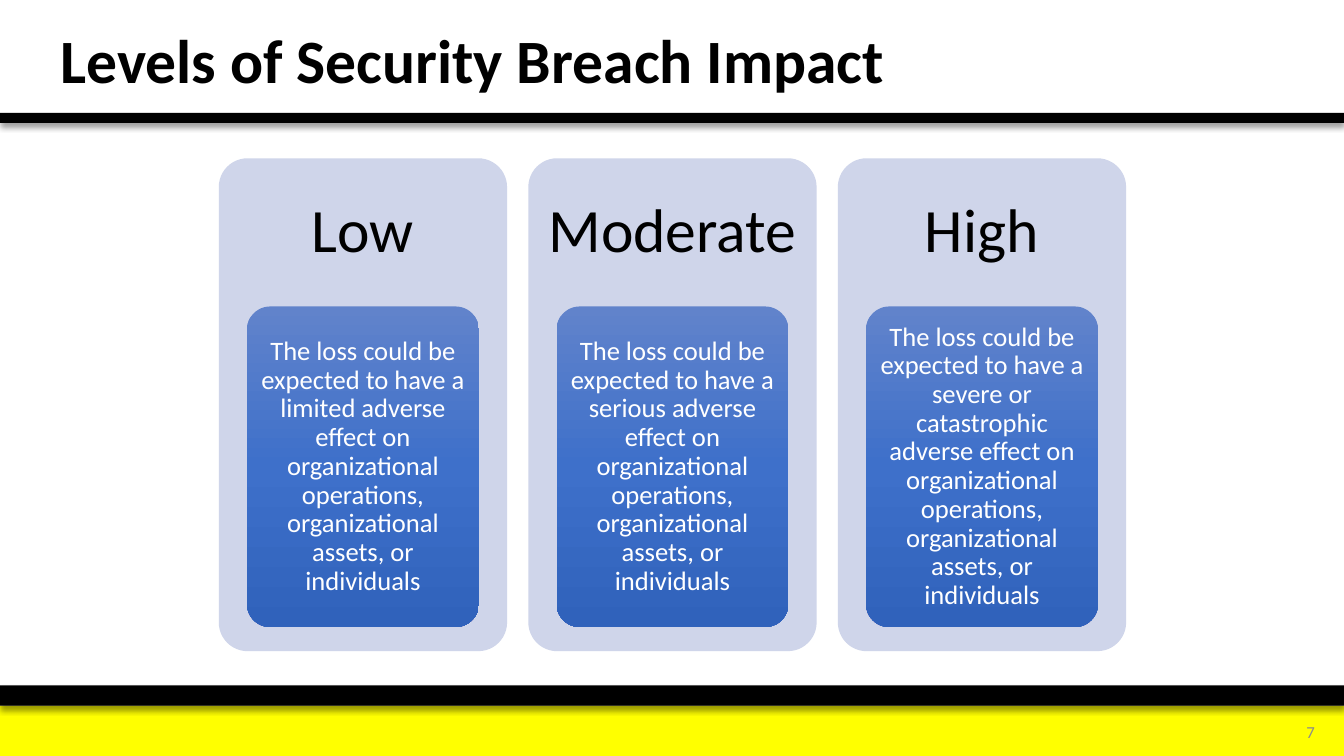
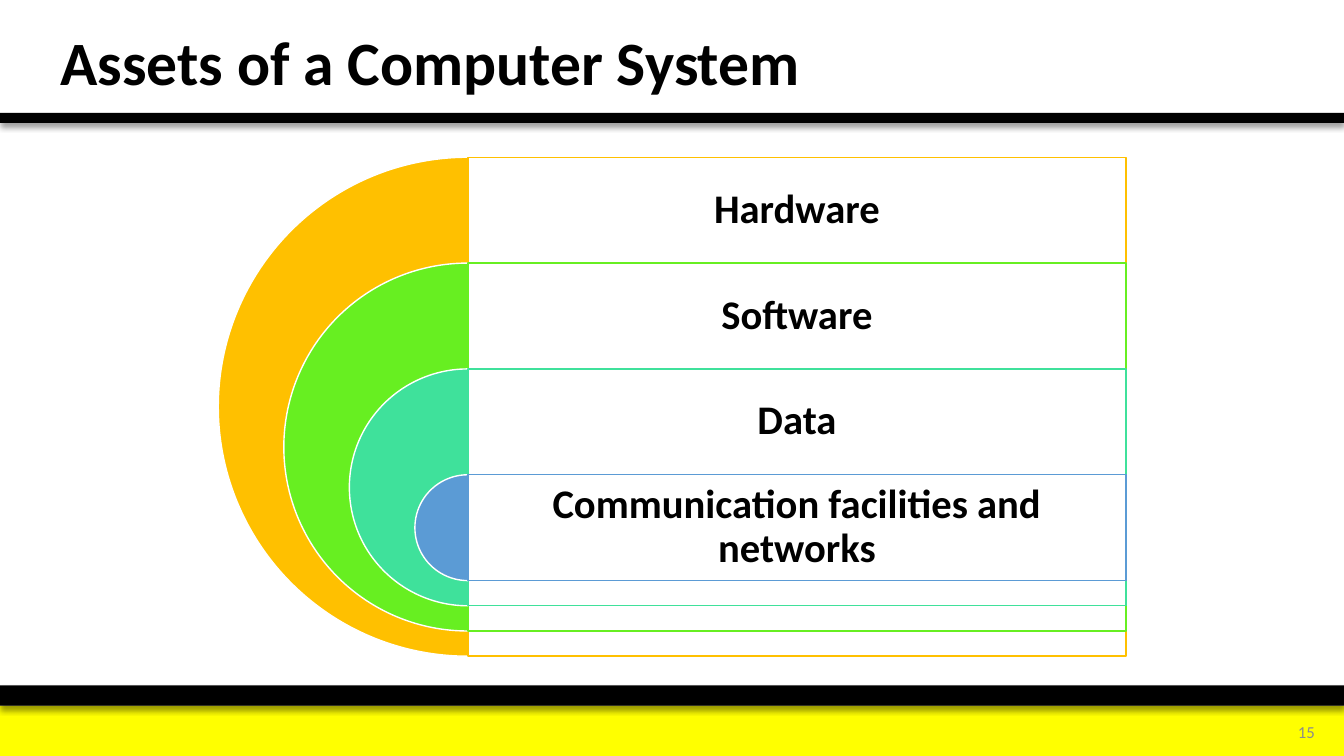
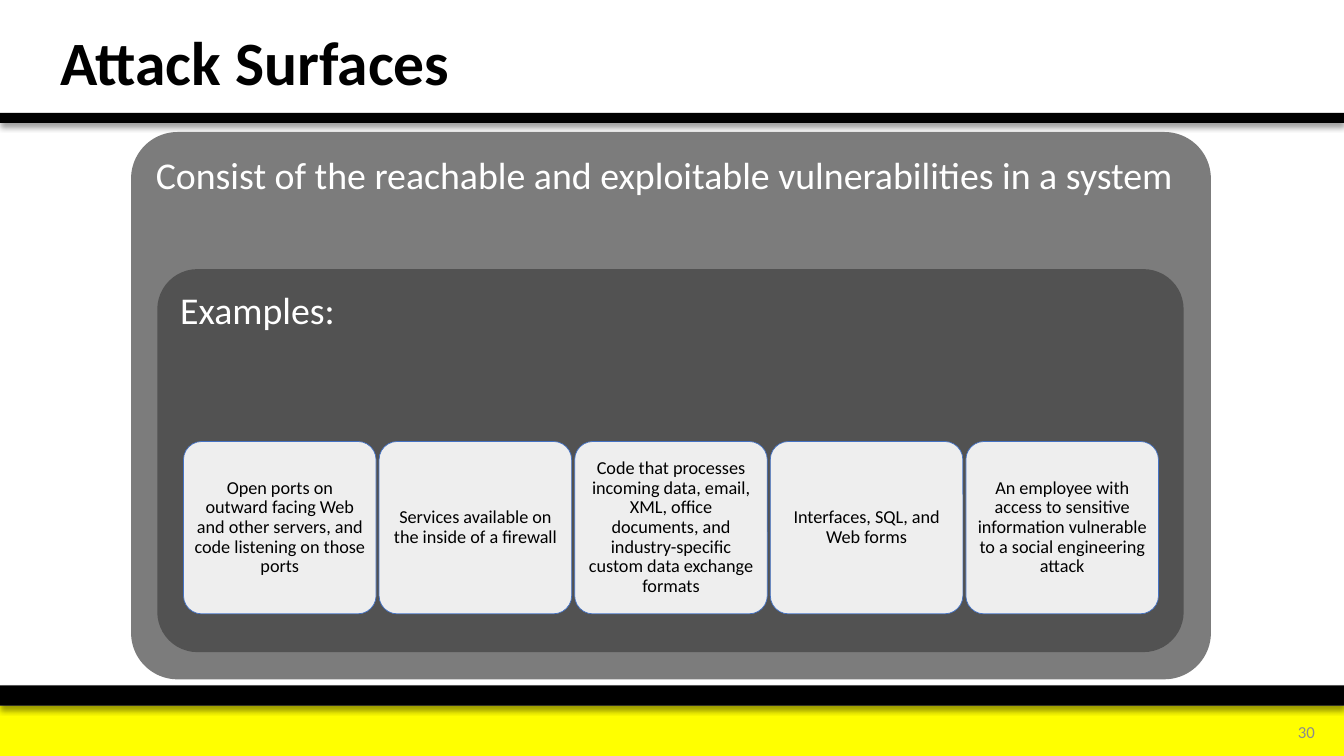
import copy

import pptx
import pptx.util
import pptx.dml.color
import pptx.enum.shapes
import pptx.enum.text
import pptx.oxml
import pptx.oxml.ns

Inches, Pt = pptx.util.Inches, pptx.util.Pt
RGB = pptx.dml.color.RGBColor
SHAPE = pptx.enum.shapes.MSO_SHAPE
ALIGN = pptx.enum.text.PP_ALIGN
ANCHOR = pptx.enum.text.MSO_ANCHOR
qn = pptx.oxml.ns.qn

W, H = 13.33, 7.5
FONT = "Calibri"
BLACK, WHITE = RGB(0, 0, 0), RGB(255, 255, 255)
YELLOW = RGB(0xFF, 0xFF, 0x00)
NUMBER_GREY = RGB(0x8C, 0x8C, 0x8C)
LEVEL_PANEL = RGB(0xCF, 0xD5, 0xEA)
LEVEL_GRADIENT = [RGB(0x61, 0x83, 0xCB), RGB(0x3E, 0x70, 0xCA), RGB(0x30, 0x62, 0xBB)]
OUTER_GREY, INNER_GREY = RGB(0x7C, 0x7C, 0x7C), RGB(0x52, 0x52, 0x52)
CARD_LINE = RGB(0x44, 0x72, 0xC4)

LEVELS = [("Low", "limited"), ("Moderate", "serious"), ("High", "severe or catastrophic")]
LOSS = ("The loss could be expected to have a {} adverse effect on organizational "
        "operations, organizational assets, or individuals")
ASSETS = [
    ("Hardware", RGB(0xFF, 0xC0, 0x00)),
    ("Software", RGB(0x67, 0xEF, 0x21)),
    ("Data", RGB(0x3F, 0xE1, 0x9B)),
    ("Communication facilities and networks", RGB(0x5B, 0x9B, 0xD5)),
]
EXAMPLES = [
    "Open ports on outward facing Web and other servers, and code listening on those ports",
    "Services available on the inside of a firewall",
    "Code that processes incoming data, email, XML, office documents, "
    "and industry-specific custom data exchange formats",
    "Interfaces, SQL, and Web forms",
    "An employee with access to sensitive information vulnerable to a social engineering attack",
]


def write(sp, text, size, color=BLACK, bold=False, align=ALIGN.CENTER,
          anchor=ANCHOR.MIDDLE, insets=(0.1, 0.05, 0.1, 0.05), spacing=0.9):
    """Fill a shape with one paragraph; insets are left, top, right, bottom."""
    tf = sp.text_frame
    tf.word_wrap, tf.vertical_anchor = True, anchor
    for side, inset in zip(("left", "top", "right", "bottom"), insets):
        setattr(tf, f"margin_{side}", Inches(inset))
    p = tf.paragraphs[0]
    p.alignment, p.line_spacing = align, spacing
    r = p.add_run()
    r.text = text
    for name, value in {"name": FONT, "size": Pt(size), "bold": bold}.items():
        setattr(r.font, name, value)
    r.font.color.rgb = color


def add_shape(s, kind, box, fill, line=None, width=1, adj=()):
    sp = s.shapes.add_shape(kind, *map(Inches, box))
    sp.shadow.inherit = False
    for i, value in enumerate(adj):
        sp.adjustments[i] = value
    sp.fill.solid()
    sp.fill.fore_color.rgb = fill
    if line is None:
        sp.line.fill.background()
    else:
        sp.line.color.rgb = line
        sp.line.width = Pt(width)
    return sp


def add_label(s, box, text, size, **style):
    write(s.shapes.add_textbox(*map(Inches, box)), text, size, **style)


def set_opacity(sp, percent):
    color = sp._element.spPr.find(qn("a:solidFill"))[0]
    alpha = pptx.oxml.parse_xml(
        f'<a:alpha {pptx.oxml.ns.nsdecls("a")} val="{percent * 1000}"/>')
    color.append(alpha)


def set_gradient(sp, colors):
    """Run evenly spaced colours from top to bottom."""
    sp.fill.gradient()
    sp.fill.gradient_angle = 270
    stops = sp._element.spPr.find(qn("a:gradFill")).find(qn("a:gsLst"))
    while len(stops) < len(colors):
        stops.append(copy.deepcopy(stops[0]))
    for i, (stop, color) in enumerate(zip(sp.fill.gradient_stops, colors)):
        stop.position = i / (len(colors) - 1)
        stop.color.rgb = color


def add_black_bar(s, top, height):
    sp = add_shape(s, SHAPE.RECTANGLE, (0, top, W, height), BLACK)
    shadow = pptx.oxml.parse_xml(
        f'<a:outerShdw {pptx.oxml.ns.nsdecls("a")} blurRad="{Pt(4)}" dist="{Pt(3)}" '
        'dir="5400000" rotWithShape="0"><a:srgbClr val="000000">'
        '<a:alpha val="40000"/></a:srgbClr></a:outerShdw>')
    sp._element.spPr.find(qn("a:effectLst")).append(shadow)


def new_slide(prs, title, number, title_top=0.09):
    """Add a slide with the shared bands, title and page number."""
    s = prs.slides.add_slide(prs.slide_layouts[6])
    add_shape(s, SHAPE.RECTANGLE, (0, H - 0.5, W, 0.5), YELLOW)
    add_black_bar(s, H - 0.7, 0.2)
    add_black_bar(s, 1.12, 0.1)
    add_label(s, (12.38, 7.06, 0.76, 0.4), str(number), 12, color=NUMBER_GREY,
              align=ALIGN.RIGHT, spacing=1.0)
    add_label(s, (0.5, title_top, 9.68, 1.12), title, 44, bold=True, align=ALIGN.LEFT)
    return s


def add_levels(s):
    left, top, width, height, pitch = 2.17, 1.57, 2.86, 4.89, 3.07
    heading, margin = 1.47, 0.28
    for i, (level, effect) in enumerate(LEVELS):
        x = left + i * pitch
        panel = add_shape(s, SHAPE.ROUNDED_RECTANGLE, (x, top, width, height),
                          LEVEL_PANEL, adj=[0.1])
        write(panel, level, 44, insets=(0.09, 0.1, 0.09, height - heading + 0.1))
        card = add_shape(s, SHAPE.ROUNDED_RECTANGLE,
                         (x + margin, top + heading, width - 2 * margin, 3.18),
                         LEVEL_PANEL, adj=[0.1])
        set_gradient(card, LEVEL_GRADIENT)
        write(card, LOSS.format(effect), 19, color=WHITE, insets=(0.05, 0.04) * 2)


def add_assets(s):
    """Draw nested half discs, each with a box to its right."""
    center, top, width, row, growth = 4.64, 1.56, 6.53, 1.05, 1.3
    for i, (asset, color) in enumerate(ASSETS):
        size = row + growth * (len(ASSETS) - 1 - i)
        y = top + i * row
        add_shape(s, SHAPE.PIE, (center - size / 2, y, size, size), color,
                  line=WHITE, adj=[54, 162])
        box = add_shape(s, SHAPE.RECTANGLE, (center, y, width, size), WHITE, line=color)
        set_opacity(box, 90)
        write(box, asset, 29, bold=True, insets=(0.12, 0.12, 0.12, size - row + 0.12))


def add_surfaces(s):
    panels = [
        ((1.3, 1.31, 10.71, 5.43), OUTER_GREY, 0.085,
         "Consist of the reachable and exploitable vulnerabilities in a system"),
        ((1.56, 2.67, 10.18, 3.8), INNER_GREY, 0.105, "Examples:"),
    ]
    for box, fill, corner, text in panels:
        panel = add_shape(s, SHAPE.ROUNDED_RECTANGLE, box, fill, adj=[corner])
        write(panel, text, 27, color=WHITE, align=ALIGN.LEFT, anchor=ANCHOR.TOP,
              insets=(0.11,) * 4)
    left, pitch = 1.82, 1.94
    for i, example in enumerate(EXAMPLES):
        card = add_shape(s, SHAPE.ROUNDED_RECTANGLE, (left + i * pitch, 4.38, 1.91, 1.71),
                         WHITE, line=CARD_LINE, width=0.5, adj=[0.105])
        set_opacity(card, 90)
        write(card, example, 13, insets=(0.05,) * 4)


def main():
    prs = pptx.Presentation()
    prs.slide_width, prs.slide_height = Inches(W), Inches(H)
    add_levels(new_slide(prs, "Levels of Security Breach Impact", 7, title_top=0.07))
    add_assets(new_slide(prs, "Assets of a Computer System", 15))
    add_surfaces(new_slide(prs, "Attack Surfaces", 30))
    prs.save("out.pptx")


if __name__ == "__main__":
    main()
